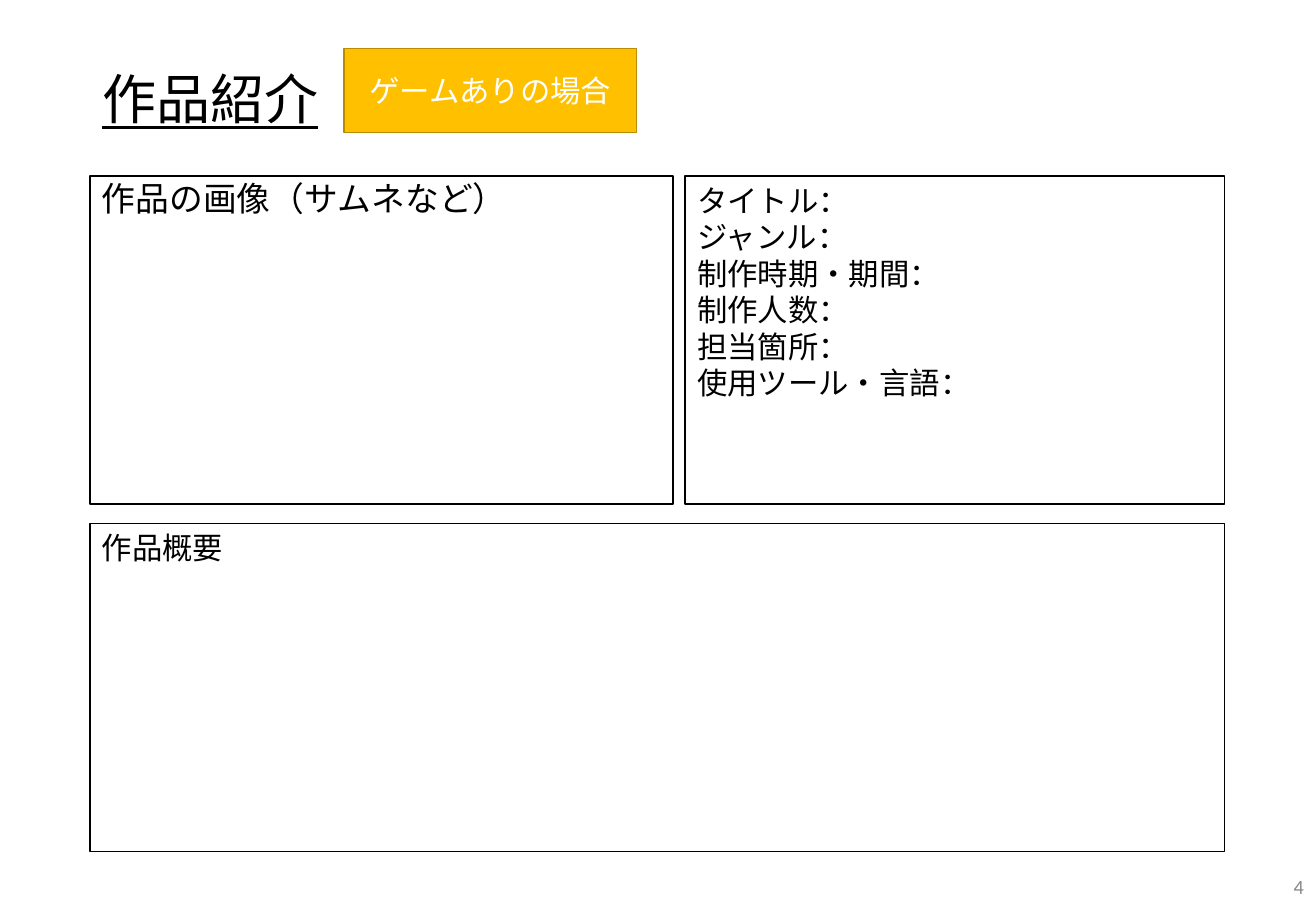
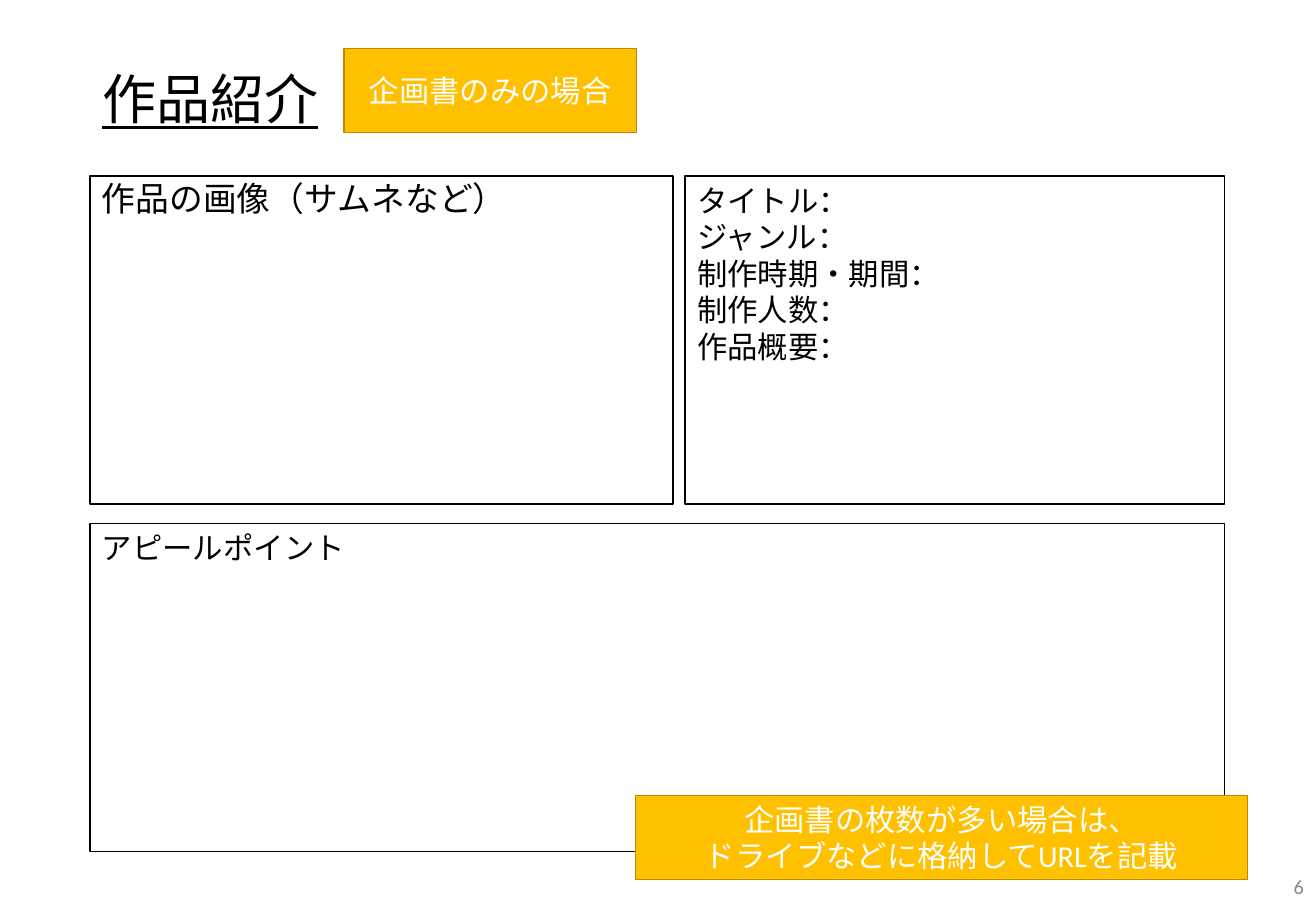
import pptx
import pptx.util
import pptx.dml.color
import pptx.enum.shapes
import pptx.enum.text

Pt = pptx.util.Pt
ALIGN = pptx.enum.text.PP_ALIGN
ANCHOR = pptx.enum.text.MSO_ANCHOR

COLORS = {
    "ink": "000000",
    "paper": "FFFFFF",
    "label": "FFC000",
    "label_line": "BA8C00",
    "number": "888888",
}
WIDTH, HEIGHT = 780, 540
LEFT, RIGHT = 53.3, 725.9
PANEL_TOP, PANEL_H = 104.4, 194.4
IMAGE_W, GAP_X, GAP_Y = 345.6, 7.2, 11.5
LABEL_H = 49.7


def rgb(name):
    return pptx.dml.color.RGBColor.from_string(COLORS[name])


class Deck:
    font = "Calibri"

    def __init__(self):
        self.prs = pptx.Presentation()
        self.prs.slide_width = Pt(WIDTH)
        self.prs.slide_height = Pt(HEIGHT)
        self.s = None

    def add_slide(self):
        self.s = self.prs.slides.add_slide(self.prs.slide_layouts[5])

    def fill_text(self, sp, lines, size, color, align=ALIGN.LEFT,
                  anchor=ANCHOR.TOP, spacing=1.0, underline=False):
        tf = sp.text_frame
        frame = {
            "word_wrap": True,
            "auto_size": pptx.enum.text.MSO_AUTO_SIZE.NONE,
            "vertical_anchor": anchor,
            "margin_left": Pt(7.2),
            "margin_right": Pt(7.2),
            "margin_top": Pt(3.6),
            "margin_bottom": Pt(3.6),
        }
        for key, value in frame.items():
            setattr(tf, key, value)
        font = {"name": self.font, "size": Pt(size), "underline": underline}
        for i, line in enumerate(lines):
            p = tf.paragraphs[0] if i == 0 else tf.add_paragraph()
            p.alignment = align
            p.line_spacing = spacing
            r = p.add_run()
            r.text = line
            for key, value in font.items():
                setattr(r.font, key, value)
            r.font.color.rgb = rgb(color)

    def title(self, text):
        sp = self.s.shapes.title
        place = {"left": LEFT, "top": 28.8, "width": RIGHT - LEFT, "height": 63.4}
        for key, value in place.items():
            setattr(sp, key, Pt(value))
        self.fill_text(sp, [text], 32, "ink", anchor=ANCHOR.MIDDLE,
                       spacing=0.9, underline=True)

    def box(self, x, y, w, h, fill, line):
        sp = self.s.shapes.add_shape(
            pptx.enum.shapes.MSO_SHAPE.RECTANGLE, Pt(x), Pt(y), Pt(w), Pt(h))
        sp.shadow.inherit = False
        sp.fill.solid()
        sp.fill.fore_color.rgb = rgb(fill)
        sp.line.color.rgb = rgb(line)
        sp.line.width = Pt(1)
        return sp

    def panel(self, x, y, w, lines, size=18, spacing=1.0):
        sp = self.box(x, y, w, PANEL_H, "paper", "ink")
        self.fill_text(sp, lines, size, "ink", spacing=spacing)

    def label(self, x, y, w, lines):
        sp = self.box(x, y, w, LABEL_H, "label", "label_line")
        self.fill_text(sp, lines, 18, "paper", ALIGN.CENTER, ANCHOR.MIDDLE)

    def number(self, text):
        w, h = 175.5, 28.8
        sp = self.s.shapes.add_textbox(Pt(WIDTH - w), Pt(HEIGHT - h), Pt(w), Pt(h))
        self.fill_text(sp, [text], 12, "number", ALIGN.RIGHT, ANCHOR.MIDDLE)

    def work_slide(self, number, case, details, summary):
        self.add_slide()
        self.title("作品紹介")
        self.panel(LEFT, PANEL_TOP, IMAGE_W, ["作品の画像（サムネなど）"], 20, 0.9)
        self.number(number)
        x = LEFT + IMAGE_W + GAP_X
        common = ["タイトル：", "ジャンル：", "制作時期・期間：", "制作人数："]
        self.panel(x, PANEL_TOP, RIGHT - x, common + details)
        self.panel(LEFT, PANEL_TOP + PANEL_H + GAP_Y, RIGHT - LEFT, [summary])
        self.label(203.8, 28.8, 173.5, [case])


def main():
    deck = Deck()
    deck.work_slide("4", "ゲームありの場合",
                    ["担当箇所：", "使用ツール・言語："], "作品概要")
    deck.work_slide("6", "企画書のみの場合", ["作品概要："], "アピールポイント")
    deck.label(376.6, 471.6, 362.9,
               ["企画書の枚数が多い場合は、", "ドライブなどに格納してURLを記載"])
    deck.prs.save("out.pptx")


if __name__ == "__main__":
    main()
